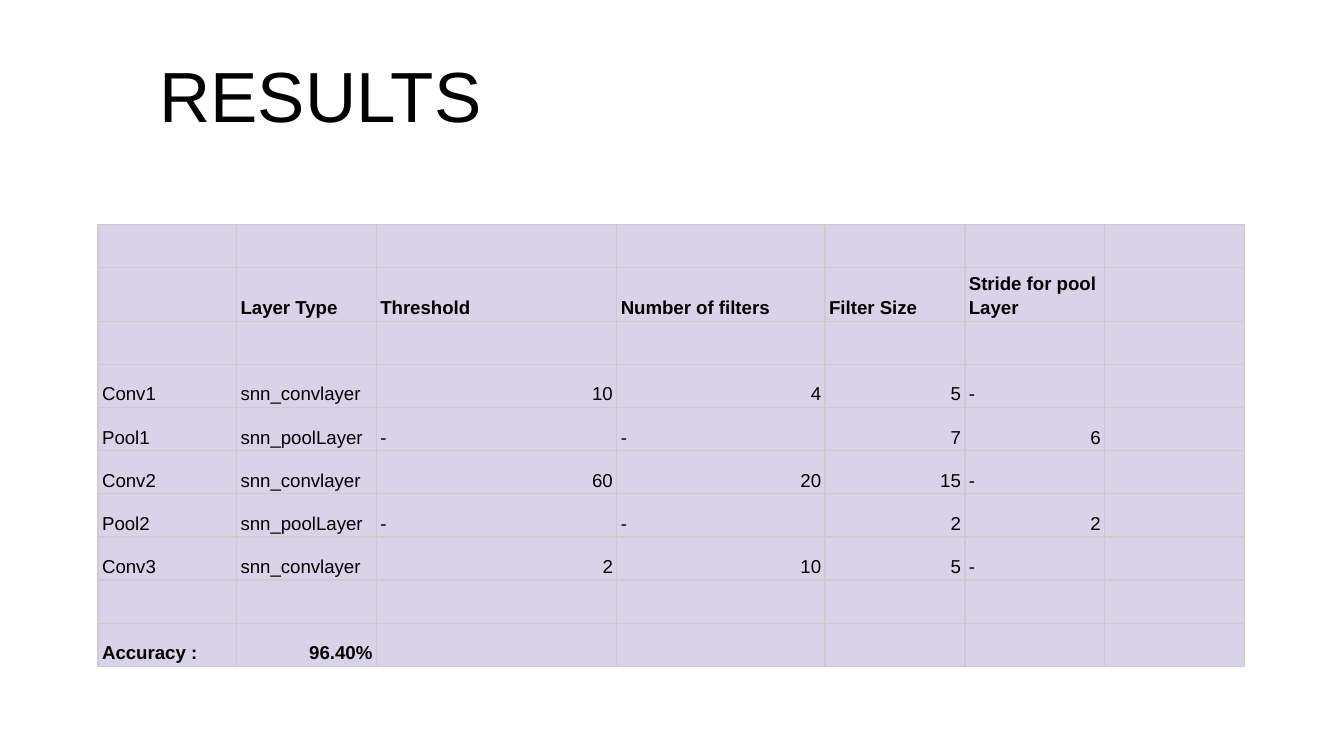
from lxml.etree import SubElement
from pptx import Presentation
from pptx.dml.color import RGBColor
from pptx.enum.text import MSO_ANCHOR, PP_ALIGN
from pptx.oxml.ns import qn
from pptx.util import Inches, Pt

BLACK = RGBColor(0x00, 0x00, 0x00)
LAVENDER = RGBColor(0xD9, 0xD2, 0xE9)
BORDER_GRAY = RGBColor(0xCC, 0xCC, 0xCC)

COLUMN_WIDTHS = [1.03, 1.04, 1.79, 1.55, 1.04, 1.04, 1.04]
RESULTS = [
    [],
    ["", "Layer Type", "Threshold", "Number of filters", "Filter Size", "Stride for pool Layer"],
    [],
    ["Conv1", "snn_convlayer", "10", "4", "5", "-"],
    ["Pool1", "snn_poolLayer", "-", "-", "7", "6"],
    ["Conv2", "snn_convlayer", "60", "20", "15", "-"],
    ["Pool2", "snn_poolLayer", "-", "-", "2", "2"],
    ["Conv3", "snn_convlayer", "2", "10", "5", "-"],
    [],
    ["Accuracy :", "96.40%"],
]
HEADER_ROW = 1
BOLD_ROWS = (HEADER_ROW, len(RESULTS) - 1)
TABLE_HEIGHT = 3.29
HEADER_HEIGHT = 0.4
ROW_HEIGHT = (TABLE_HEIGHT - HEADER_HEIGHT) / (len(RESULTS) - 1)
CELL_FORMAT = {
    "margin_left": Inches(0.03),
    "margin_right": Inches(0.03),
    "margin_top": Inches(0.02),
    "margin_bottom": Inches(0.02),
    "vertical_anchor": MSO_ANCHOR.BOTTOM,
}
TITLE_FORMAT = {
    "margin_left": Inches(0.1),
    "margin_right": Inches(0.1),
    "margin_top": Inches(0.1),
    "margin_bottom": Inches(0.1),
    "vertical_anchor": MSO_ANCHOR.BOTTOM,
    "word_wrap": True,
}


def add_borders(cell):
    properties = cell._tc.get_or_add_tcPr()
    for side in ("a:lnL", "a:lnR", "a:lnT", "a:lnB"):
        line = SubElement(properties, qn(side), w=str(Pt(0.83)))
        fill = SubElement(line, qn("a:solidFill"))
        SubElement(fill, qn("a:srgbClr"), val=str(BORDER_GRAY))


def style_font(font, size, bold):
    font.name = "Arial"
    font.size = Pt(size)
    font.bold = bold
    font.color.rgb = BLACK


presentation = Presentation()
presentation.slide_width = Inches(10)
presentation.slide_height = Inches(10) * 9 // 16
slide = presentation.slides.add_slide(presentation.slide_layouts[5])

results = slide.shapes.add_table(
    len(RESULTS), len(COLUMN_WIDTHS),
    Inches(0.73), Inches(1.67), Inches(sum(COLUMN_WIDTHS)), Inches(TABLE_HEIGHT),
).table
results.first_row = False
results.horz_banding = False
for column, width in zip(results.columns, COLUMN_WIDTHS):
    column.width = Inches(width)

for row_index, values in enumerate(RESULTS):
    results.rows[row_index].height = Inches(HEADER_HEIGHT if row_index == HEADER_ROW else ROW_HEIGHT)
    for column_index in range(len(COLUMN_WIDTHS)):
        cell = results.cell(row_index, column_index)
        for name, value in CELL_FORMAT.items():
            setattr(cell, name, value)
        add_borders(cell)
        cell.fill.solid()
        cell.fill.fore_color.rgb = LAVENDER

        entry = values[column_index] if column_index < len(values) else ""
        paragraph = cell.text_frame.paragraphs[0]
        if not entry:
            SubElement(paragraph._p, qn("a:endParaRPr"), sz="1000")
            continue
        paragraph.line_spacing = 1.15
        paragraph.alignment = PP_ALIGN.RIGHT if entry[0].isdigit() else PP_ALIGN.LEFT
        run = paragraph.add_run()
        run.text = entry
        style_font(run.font, 10, row_index in BOLD_ROWS)

title = slide.shapes.title
title.left, title.top = Inches(0.55), Inches(0.45)
title.width, title.height = Inches(3.67), Inches(0.67)
title.text_frame.text = "RESULTS"
for name, value in TITLE_FORMAT.items():
    setattr(title.text_frame, name, value)
heading = title.text_frame.paragraphs[0]
heading.alignment = PP_ALIGN.CENTER
style_font(heading.runs[0].font, 38, False)

presentation.save("out.pptx")
